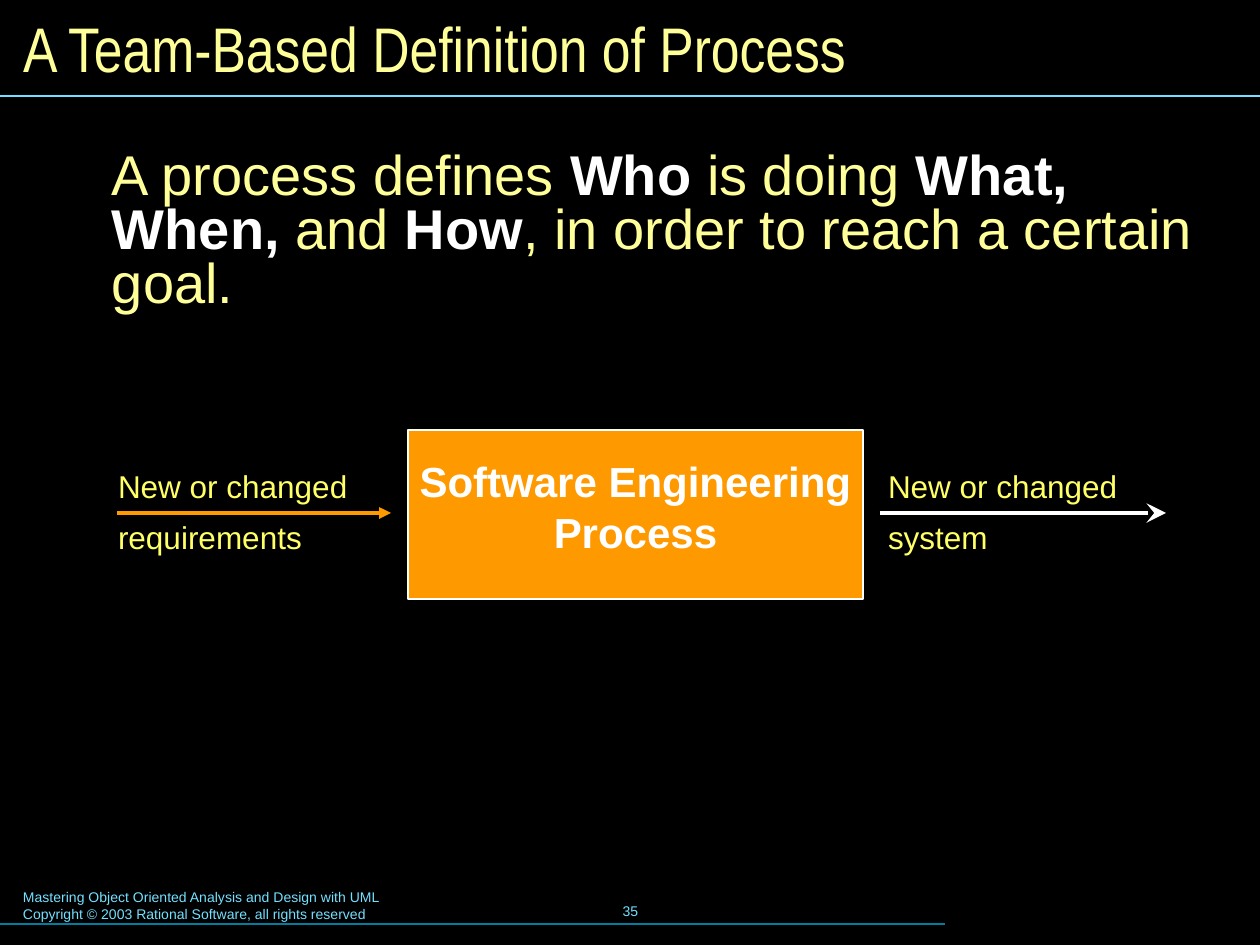
from dataclasses import dataclass

from lxml import etree
from pptx import Presentation
from pptx import util as u
from pptx.dml.color import RGBColor
from pptx.enum import shapes, text
from pptx.oxml import ns


@dataclass(frozen=True)
class Theme:
    background: str = "000000"
    title: str = "FFFF99"
    label: str = "FFFF66"
    strong: str = "FFFFFF"
    process: str = "FF9900"
    rule: str = "73E1FF"
    footer_rule: str = "007E9F"
    font: str = "Arial"
    title_font: str = "Arial Narrow"
    title_size: int = 36
    body_size: int = 32
    process_size: int = 24
    label_size: int = 18
    footer_size: int = 8


THEME = Theme()
PX = u.Inches(1) / 126
PAGE = (1260, 945)

TITLE = "A Team-Based Definition of Process"
DEFINITION = [
    ("A process defines ", False),
    ("Who", True),
    (" is doing ", False),
    ("What, When,", True),
    (" and ", False),
    ("How", True),
    (", in order to reach a certain goal.", False),
]
FLOW_LABELS = [
    ((105, 464, 270, 98), ["New or changed", "requirements"]),
    ((875, 464, 270, 98), ["New or changed", "system"]),
]
PROCESS_BOX = (408, 430, 455, 169)
PROCESS_TEXT = ((395, 465, 481, 98), ["Software Engineering", "Process"])
FOOTER = [
    "Mastering Object Oriented Analysis and Design with UML",
    "Copyright © 2003 Rational Software, all rights reserved",
]
PAGE_NUMBER = "35"
RULES = [
    (0, 945, 924, THEME.footer_rule, 0.75),
    (0, 1260, 96, THEME.rule, 0.75),
]
ARROWS = [
    (117, 391, 513, THEME.process, 2.25, "triangle", "med"),
    (880, 1166, 513, THEME.strong, 2.25, "stealth", "lg"),
]


def emu(*lengths):
    return [u.Emu(round(length * PX)) for length in lengths]


def color(value):
    return RGBColor.from_string(value)


def add_text(page, place, paragraphs, size, font=THEME.font, inset=(13, 6),
             align=text.PP_ALIGN.LEFT, anchor=text.MSO_ANCHOR.TOP,
             spacing=None, gap=0):
    frame = page.shapes.add_textbox(*emu(*place)).text_frame
    frame.word_wrap = True
    frame.vertical_anchor = anchor
    frame.margin_left = frame.margin_right = emu(inset[0])[0]
    frame.margin_top = frame.margin_bottom = emu(inset[1])[0]
    for index, spans in enumerate(paragraphs):
        para = frame.add_paragraph() if index else frame.paragraphs[0]
        para.alignment = align
        if spacing:
            para.line_spacing = spacing
        if index and gap:
            para.space_before = u.Pt(gap)
        for words, fill, bold in spans:
            span = para.add_run()
            span.text = words
            span.font.name = font
            span.font.size = u.Pt(size)
            span.font.bold = bold
            span.font.color.rgb = color(fill)
    return frame


def plain(lines, fill, bold=False):
    return [[(line, fill, bold)] for line in lines]


def add_line(page, start, end, y, fill, width, head=None, head_size="med"):
    line = page.shapes.add_connector(
        shapes.MSO_CONNECTOR.STRAIGHT, *emu(start, y, end, y))
    line.line.color.rgb = color(fill)
    line.line.width = u.Pt(width)
    if head:
        etree.SubElement(line.line._get_or_add_ln(), ns.qn("a:tailEnd"),
                         type=head, w=head_size, len=head_size)
    etree.SubElement(line._element.spPr, ns.qn("a:effectLst"))


def add_process(page):
    box = page.shapes.add_shape(shapes.MSO_SHAPE.RECTANGLE, *emu(*PROCESS_BOX))
    box.shadow.inherit = False
    box.fill.solid()
    box.fill.fore_color.rgb = color(THEME.process)
    box.line.color.rgb = color(THEME.strong)
    box.line.width = u.Pt(1)


def main():
    deck = Presentation()
    deck.slide_width, deck.slide_height = emu(*PAGE)
    page = deck.slides.add_slide(deck.slide_layouts[6])
    page.background.fill.solid()
    page.background.fill.fore_color.rgb = color(THEME.background)

    add_text(page, (431, 879, 399, 63), plain([PAGE_NUMBER], THEME.rule),
             THEME.footer_size, align=text.PP_ALIGN.CENTER,
             anchor=text.MSO_ANCHOR.MIDDLE)
    for rule in RULES:
        add_line(page, *rule)
    add_text(page, (10, 883, 643, 47), plain(FOOTER, THEME.rule),
             THEME.footer_size)
    add_text(page, (10, 11, 1240, 73), plain([TITLE], THEME.title),
             THEME.title_size, THEME.title_font,
             anchor=text.MSO_ANCHOR.MIDDLE)

    definition = [(words, THEME.strong if strong else THEME.title, strong)
                  for words, strong in DEFINITION]
    body = add_text(page, (50, 145, 1171, 696), [definition],
                    THEME.body_size, inset=(15, 8), spacing=0.8)
    body.paragraphs[0]._p.get_or_add_pPr().set("marL", str(emu(47)[0]))

    for place, lines in FLOW_LABELS:
        add_text(page, place, plain(lines, THEME.label), THEME.label_size,
                 spacing=u.Pt(20), gap=9)
    add_process(page)
    place, lines = PROCESS_TEXT
    add_text(page, place, plain(lines, THEME.strong, True),
             THEME.process_size, align=text.PP_ALIGN.CENTER,
             spacing=u.Pt(20), gap=9)
    for arrow in ARROWS:
        add_line(page, *arrow)
    deck.save("out.pptx")


if __name__ == "__main__":
    main()
